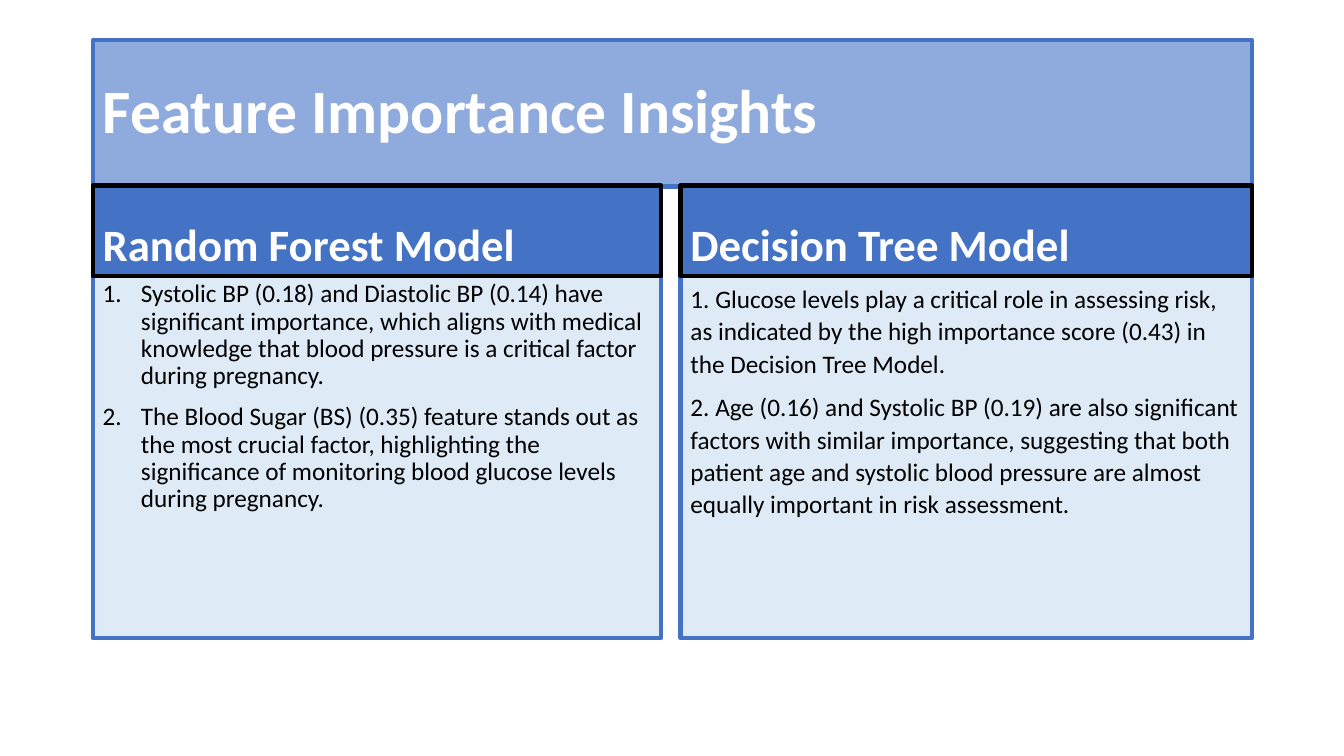
from lxml import etree
from pptx import Presentation
from pptx.dml.color import RGBColor
from pptx.enum.shapes import MSO_SHAPE
from pptx.enum.text import MSO_ANCHOR, PP_ALIGN
from pptx.oxml.ns import qn
from pptx.util import Pt

RECTANGLE = MSO_SHAPE.RECTANGLE
TOP, MIDDLE, BOTTOM = MSO_ANCHOR.TOP, MSO_ANCHOR.MIDDLE, MSO_ANCHOR.BOTTOM
LEFT = PP_ALIGN.LEFT

WHITE = RGBColor(0xFF, 0xFF, 0xFF)
BLACK = RGBColor(0x00, 0x00, 0x00)
BLUE = RGBColor(0x44, 0x72, 0xC4)
SOFT_BLUE = RGBColor(0x8F, 0xAA, 0xDC)
PALE_BLUE = RGBColor(0xDE, 0xEB, 0xF7)

PX = 9144
HEADER_HEIGHT = 90
NUMBER_INDENT = 38

FOREST_FINDINGS = [
    "Systolic BP (0.18) and Diastolic BP (0.14) have significant importance, "
    "which aligns with medical knowledge that blood pressure is a critical "
    "factor during pregnancy.",
    "The Blood Sugar (BS) (0.35) feature stands out as the most crucial factor, "
    "highlighting the significance of monitoring blood glucose levels during "
    "pregnancy.",
]
TREE_FINDINGS = [
    "1. Glucose levels play a critical role in assessing risk, as indicated by "
    "the high importance score (0.43) in the Decision Tree Model.",
    "2. Age (0.16) and Systolic BP (0.19) are also significant factors with "
    "similar importance, suggesting that both patient age and systolic blood "
    "pressure are almost equally important in risk assessment.",
]


def add_panel(slide, box, fill, border, anchor, texts, size, color,
              bold=False, spacing=0.9, before=0, after=0):
    panel = slide.shapes.add_shape(RECTANGLE, *(length * PX for length in box))
    panel.shadow.inherit = False
    panel.fill.solid()
    panel.fill.fore_color.rgb = fill
    panel.line.color.rgb = border
    panel.line.width = Pt(3)
    frame = panel.text_frame
    frame.word_wrap = True
    frame.vertical_anchor = anchor
    for index, text in enumerate(texts):
        paragraph = frame.add_paragraph() if index else frame.paragraphs[0]
        paragraph.text = text
        paragraph.alignment = LEFT
        paragraph.line_spacing = spacing
        paragraph.space_before = Pt(before)
        paragraph.space_after = Pt(after)
        paragraph.font.name = "Calibri"
        paragraph.font.size = Pt(size)
        paragraph.font.bold = bold
        paragraph.font.color.rgb = color
    return frame.paragraphs


def number_paragraphs(paragraphs):
    for paragraph in paragraphs:
        properties = paragraph._p.get_or_add_pPr()
        properties.set("marL", str(NUMBER_INDENT * PX))
        properties.set("indent", str(-NUMBER_INDENT * PX))
        numbering = etree.Element(qn("a:buAutoNum"), type="arabicPeriod")
        properties.find(qn("a:defRPr")).addprevious(numbering)


def add_title(slide, box):
    add_panel(slide, box, SOFT_BLUE, BLUE, MIDDLE,
              ["Feature Importance Insights"], 44, WHITE, bold=True)


def add_model(slide, box, name, findings, numbered, **spacing):
    left, top, width, height = box
    findings_box = (left, top + HEADER_HEIGHT, width, height - HEADER_HEIGHT)
    paragraphs = add_panel(slide, findings_box, PALE_BLUE, BLUE, TOP,
                           findings, 18, BLACK, **spacing)
    if numbered:
        number_paragraphs(paragraphs)
    add_panel(slide, (left, top, width, HEADER_HEIGHT), BLUE, BLACK, BOTTOM,
              [name], 32, WHITE, bold=True, before=10)


def main():
    presentation = Presentation()
    presentation.slide_width = 1333 * PX
    presentation.slide_height = 750 * PX
    slide = presentation.slides.add_slide(presentation.slide_layouts[6])
    add_title(slide, (92, 40, 1150, 145))
    add_model(slide, (92, 184, 564, 449), "Random Forest Model",
              FOREST_FINDINGS, True, before=10)
    add_model(slide, (675, 184, 567, 449), "Decision Tree Model",
              TREE_FINDINGS, False, spacing=1.07, after=8)
    presentation.save("out.pptx")


if __name__ == "__main__":
    main()
